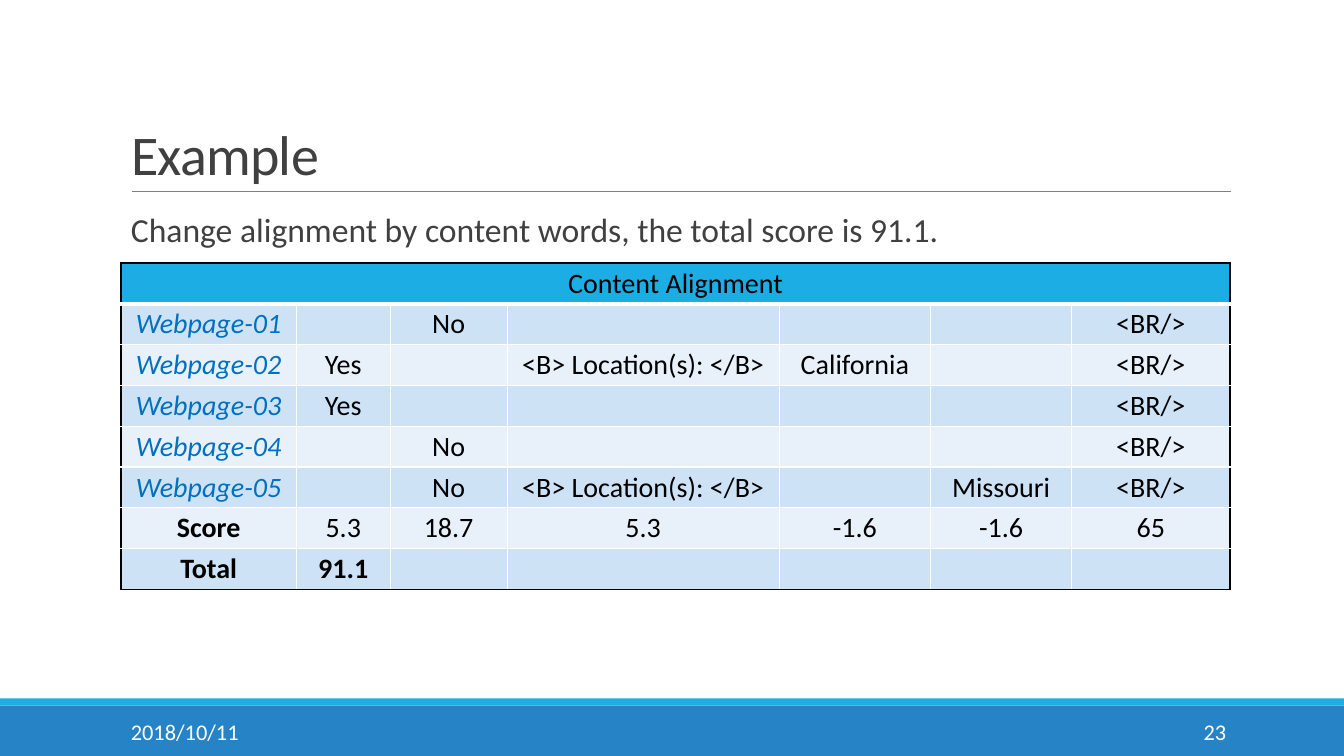
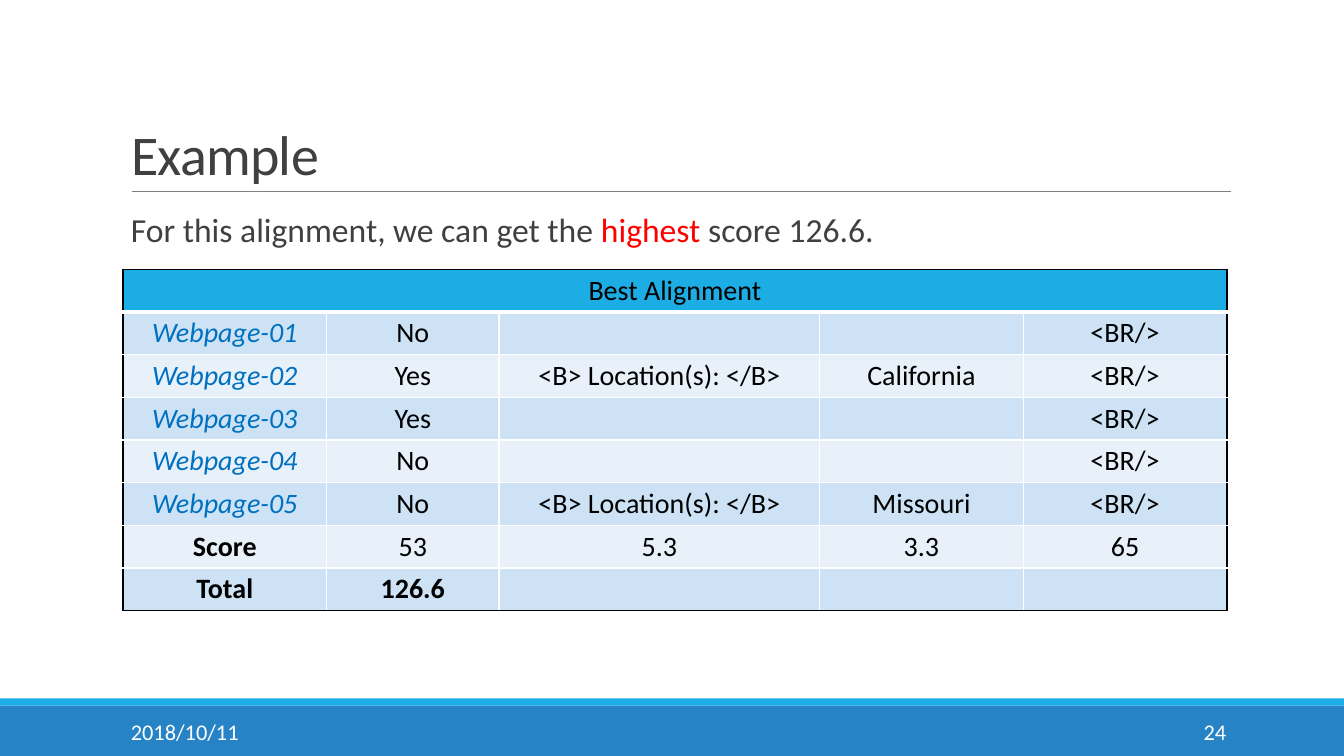
import pptx
import pptx.util
import pptx.dml.color
import pptx.enum.text
import pptx.enum.shapes
import pptx.oxml.ns
import lxml.etree

Inches = pptx.util.Inches
ALIGN = pptx.enum.text.PP_ALIGN
ANCHOR = pptx.enum.text.MSO_ANCHOR
FONT = "Calibri"
COLORS = {
    "band": "2683C6", "accent": "1CADE4", "rule": "808080", "text": "404040",
    "white": "FFFFFF", "black": "000000", "page": "0070C0", "alert": "FF0000",
    "odd": "CDE3F5", "even": "E8F1FA",
}
SLIDE_W, SLIDE_H = 13.33, 7.5
TITLE_BOX = (1.2, 0.31, 11, 1.59)
BODY_BOX = (1.2, 2.02, 11, 0.55)
FOOTER_BOX = (0, 6.93, SLIDE_W, 0.57)


def rgb(name):
    """Return the palette colour with this name."""
    return pptx.dml.color.RGBColor.from_string(COLORS[name])


def add_run(p, text, size, color, bold=False, italic=False):
    """Add one formatted run to a paragraph."""
    r = p.add_run()
    r.text = text
    r.font.name = FONT
    r.font.size = pptx.util.Pt(size)
    r.font.color.rgb = rgb(color)
    r.font.bold = bold
    r.font.italic = italic
    return r


def add_text(slide, box, runs, size, align=ALIGN.LEFT, anchor=ANCHOR.TOP):
    """Add a text box holding one paragraph of (text, colour) runs."""
    tf = slide.shapes.add_textbox(*map(Inches, box)).text_frame
    tf.word_wrap = True
    tf.vertical_anchor = anchor
    p = tf.paragraphs[0]
    p.alignment = align
    for text, color in runs:
        add_run(p, text, size, color)
    return p


def add_title(slide, box, text):
    """Place the title in its box with a thin rule along the bottom."""
    left, top, width, height = box
    sp = slide.shapes.title
    sp.left, sp.top, sp.width, sp.height = map(Inches, box)
    tf = sp.text_frame
    tf.word_wrap = True
    tf.vertical_anchor = ANCHOR.BOTTOM
    p = tf.paragraphs[0]
    p.alignment = ALIGN.LEFT
    p.line_spacing = 0.85
    r = add_run(p, text, 40, "text")
    r.font._element.set("spc", "-50")
    y = Inches(top + height)
    line = slide.shapes.add_connector(
        pptx.enum.shapes.MSO_CONNECTOR.STRAIGHT,
        Inches(left + 0.11), y, Inches(left + width + 0.01), y)
    line.line.color.rgb = rgb("rule")
    line.line.width = pptx.util.Pt(0.5)
    lxml.etree.SubElement(line._element.spPr, pptx.oxml.ns.qn("a:effectLst"))


def add_footer(slide, box, date, number):
    """Draw the two-tone footer band with the date and slide number."""
    left, top, width, height = box
    stripe = 0.07
    for y, h, color in ((top + stripe, height - stripe, "band"), (top, stripe, "accent")):
        sp = slide.shapes.add_shape(
            pptx.enum.shapes.MSO_SHAPE.RECTANGLE, *map(Inches, (left, y, width, h)))
        sp.shadow.inherit = False
        sp.fill.solid()
        sp.fill.fore_color.rgb = rgb(color)
        sp.line.fill.background()
    for x, w, text, align in ((1.2, 2.7, date, ALIGN.LEFT), (10.83, 1.43, number, ALIGN.RIGHT)):
        add_text(slide, (left + x, top + 0.13, w, 0.4), [(text, "white")], 16,
                 align, ANCHOR.MIDDLE)


def set_border(cell, side, color, width=1):
    """Draw one side (L, R, T or B) of a cell."""
    qn = pptx.oxml.ns.qn
    ln = lxml.etree.SubElement(cell._tc.get_or_add_tcPr(), qn("a:ln" + side),
                               w=str(pptx.util.Pt(width)))
    fill = lxml.etree.SubElement(ln, qn("a:solidFill"))
    lxml.etree.SubElement(fill, qn("a:srgbClr"), val=COLORS[color])


def fill_cell(cell, text, fill, edges, **style):
    """Format a cell with its borders, fill and centred text."""
    for side, (color, width) in edges.items():
        set_border(cell, side, color, width)
    cell.fill.solid()
    cell.fill.fore_color.rgb = rgb(fill)
    cell.vertical_anchor = ANCHOR.MIDDLE
    cell.margin_left = cell.margin_right = Inches(0.03)
    cell.margin_top = cell.margin_bottom = 0
    p = cell.text_frame.paragraphs[0]
    p.alignment = ALIGN.CENTER
    if text:
        add_run(p, text, 20, **style)


def add_alignment_table(slide, box, widths, heading, rows):
    """Add an alignment table with a merged heading and banded rows."""
    left, top, width, height = box
    n_rows, n_cols = len(rows) + 1, len(widths)
    table = slide.shapes.add_table(n_rows, n_cols, *map(Inches, box)).table
    table.first_row = table.horz_banding = False
    for col, w in zip(table.columns, widths):
        col.width = Inches(w)
    for row in table.rows:
        row.height = Inches(height / n_rows)
    grid = [[heading] + [""] * (n_cols - 1)] + rows
    for i, texts in enumerate(grid):
        fill = "accent" if i == 0 else "odd" if i % 2 else "even"
        for j, text in enumerate(texts):
            edges = {
                "L": ("black" if j == 0 else "white", 1),
                "R": ("black" if j == n_cols - 1 or i == 0 else "white", 1),
                "T": ("black", 1) if i == 0 else ("white", 3 if i == 1 else 1),
                "B": ("white", 3) if i == 0 else ("black" if i == n_rows - 1 else "white", 1),
            }
            is_page = j == 0 and 0 < i < n_rows - 2
            is_bold = i == n_rows - 1 or (j == 0 and i == n_rows - 2)
            fill_cell(table.cell(i, j), text, fill, edges,
                      color="page" if is_page else "black", bold=is_bold, italic=is_page)
    table.cell(0, 0).merge(table.cell(0, n_cols - 1))


def add_example_slide(prs, number, runs, box, widths, heading, rows):
    """Build one example slide: title, statement, table and footer."""
    slide = prs.slides.add_slide(prs.slide_layouts[5])
    add_footer(slide, FOOTER_BOX, "2018/10/11", number)
    add_title(slide, TITLE_BOX, "Example")
    p = add_text(slide, BODY_BOX, runs, 24)
    p.space_after = pptx.util.Pt(2)
    add_alignment_table(slide, box, widths, heading, rows)


def main():
    """Build the deck and save it."""
    prs = pptx.Presentation()
    prs.slide_width, prs.slide_height = Inches(SLIDE_W), Inches(SLIDE_H)
    location, br = "<B> Location(s): </B>", "<BR/>"
    add_example_slide(
        prs, "23",
        [("Change alignment by content words, the total score is 91.1.", "text")],
        (1.2, 2.61, 11, 3.24), (1.74, 0.93, 1.16, 2.7, 1.5, 1.4, 1.57),
        "Content Alignment",
        [
            ["Webpage-01", "", "No", "", "", "", br],
            ["Webpage-02", "Yes", "", location, "California", "", br],
            ["Webpage-03", "Yes", "", "", "", "", br],
            ["Webpage-04", "", "No", "", "", "", br],
            ["Webpage-05", "", "No", location, "", "Missouri", br],
            ["Score", "5.3", "18.7", "5.3", "-1.6", "-1.6", "65"],
            ["Total", "91.1", "", "", "", "", ""],
        ])
    add_example_slide(
        prs, "24",
        [("For this alignment, we can get the ", "text"), ("highest ", "alert"),
         ("score 126.6.", "text")],
        (1.22, 2.67, 10.95, 3.39), (2.02, 1.71, 3.18, 2.02, 2.02),
        "Best Alignment",
        [
            ["Webpage-01", "No", "", "", br],
            ["Webpage-02", "Yes", location, "California", br],
            ["Webpage-03", "Yes", "", "", br],
            ["Webpage-04", "No", "", "", br],
            ["Webpage-05", "No", location, "Missouri", br],
            ["Score", "53", "5.3", "3.3", "65"],
            ["Total", "126.6", "", "", ""],
        ])
    prs.save("out.pptx")


if __name__ == "__main__":
    main()
